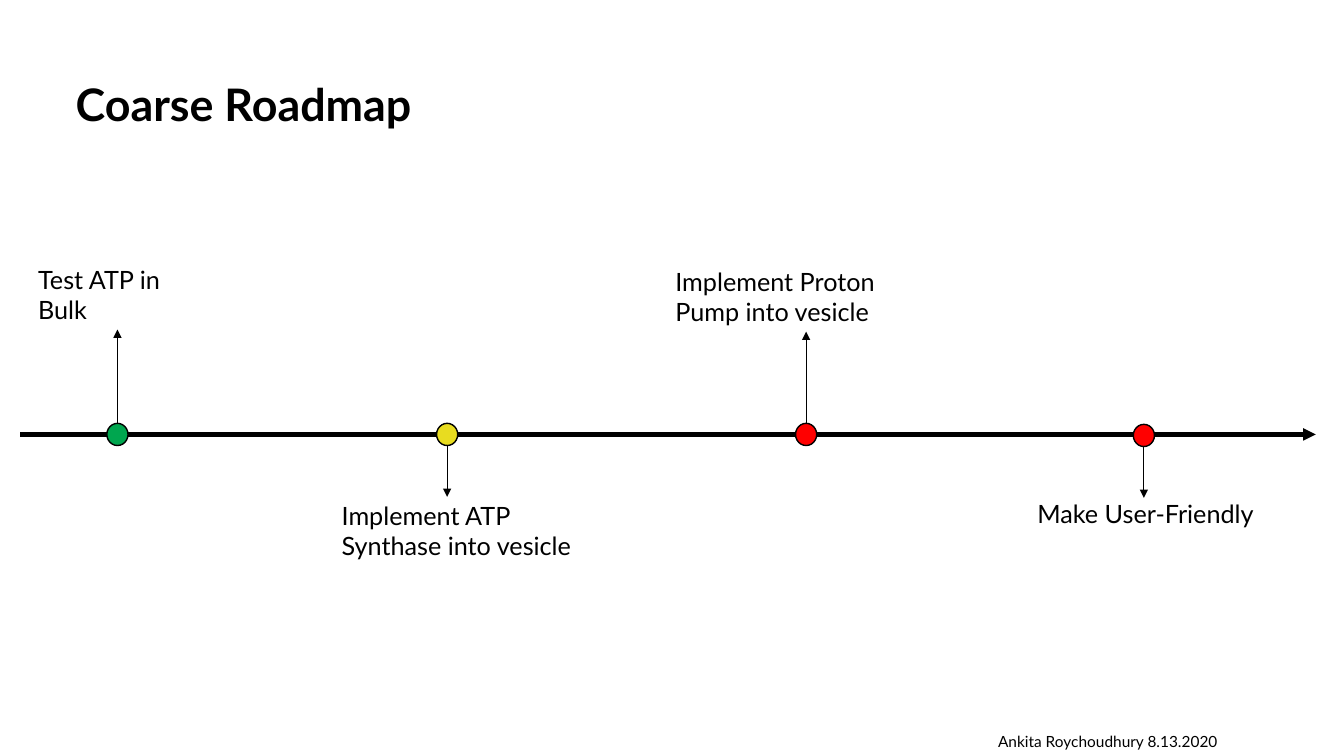
from lxml import etree
from pptx import Presentation
from pptx.dml.color import RGBColor
from pptx.enum.shapes import MSO_CONNECTOR, MSO_SHAPE
from pptx.enum.text import MSO_ANCHOR, PP_ALIGN
from pptx.oxml.ns import qn
from pptx.util import Inches, Pt

FONT = "Lato"
BLACK = "000000"
DOT_WIDTH, DOT_HEIGHT = 0.21, 0.22

# label, label box (left, top, width, height), dot left, dot top, dot colour, arrow tip
MILESTONES = [
    ("Test ATP in Bulk", (0.28, 2.57, 1.78, 0.71), 1.06, 4.2, "00A64F", 3.27),
    ("Implement ATP Synthase into vesicle", (3.29, 4.91, 2.79, 0.71), 4.33, 4.2, "E8DC20", 4.93),
    ("Implement Proton Pump into vesicle", (6.6, 2.59, 2.79, 0.71), 7.89, 4.2, "FF0000", 3.29),
    ("Make User-Friendly", (10.19, 4.89, 2.79, 0.4), 11.24, 4.21, "FF0000", 4.94),
]


def color(hex_string):
    return RGBColor.from_string(hex_string)


def format_text(text_frame, size, bold=False):
    for paragraph in text_frame.paragraphs:
        paragraph.alignment = PP_ALIGN.LEFT
        for run in paragraph.runs:
            run.font.name = FONT
            run.font.size = Pt(size)
            run.font.bold = bold
            run.font.color.rgb = color(BLACK)


def set_title(slide, text):
    title = slide.shapes.title
    title.left, title.top = Inches(0.65), Inches(0.34)
    title.width, title.height = Inches(11.5), Inches(1.45)
    title.text_frame.text = text
    title.text_frame.vertical_anchor = MSO_ANCHOR.MIDDLE
    title.text_frame.paragraphs[0].line_spacing = 0.9
    format_text(title.text_frame, 32, bold=True)


def add_label(slide, text, box, size=18, wrap=True):
    label = slide.shapes.add_textbox(*map(Inches, box))
    label.text_frame.word_wrap = wrap
    label.text_frame.text = text
    format_text(label.text_frame, size)


def add_arrow(slide, start, end, weight):
    arrow = slide.shapes.add_connector(
        MSO_CONNECTOR.STRAIGHT, *map(Inches, (*start, *end)))
    arrow.line.color.rgb = color(BLACK)
    arrow.line.width = Pt(weight)
    etree.SubElement(arrow.line._get_or_add_ln(), qn("a:tailEnd"), type="triangle")
    etree.SubElement(arrow._element.spPr, qn("a:effectLst"))


def add_dot(slide, left, top, fill):
    dot = slide.shapes.add_shape(
        MSO_SHAPE.OVAL, *map(Inches, (left, top, DOT_WIDTH, DOT_HEIGHT)))
    dot.shadow.inherit = False
    dot.fill.solid()
    dot.fill.fore_color.rgb = color(fill)
    dot.line.color.rgb = color(BLACK)
    dot.line.width = Pt(1)


def add_milestone(slide, text, box, left, top, fill, tip):
    add_label(slide, text, box)
    add_dot(slide, left, top, fill)
    center = left + DOT_WIDTH / 2
    edge = top if tip < top else top + DOT_HEIGHT
    add_arrow(slide, (center, edge), (center, tip), 0.5)


def main():
    presentation = Presentation()
    presentation.slide_width = Inches(13.33)
    presentation.slide_height = Inches(7.5)
    slide = presentation.slides.add_slide(presentation.slide_layouts[5])

    set_title(slide, "Coarse Roadmap")
    add_arrow(slide, (0.2, 4.31), (13.05, 4.31), 3)
    for milestone in MILESTONES:
        add_milestone(slide, *milestone)
    add_label(slide, "Ankita Roychoudhury 8.13.2020", (9.8, 7.21, 2.39, 0.29), size=11, wrap=False)

    presentation.save("out.pptx")


if __name__ == "__main__":
    main()
